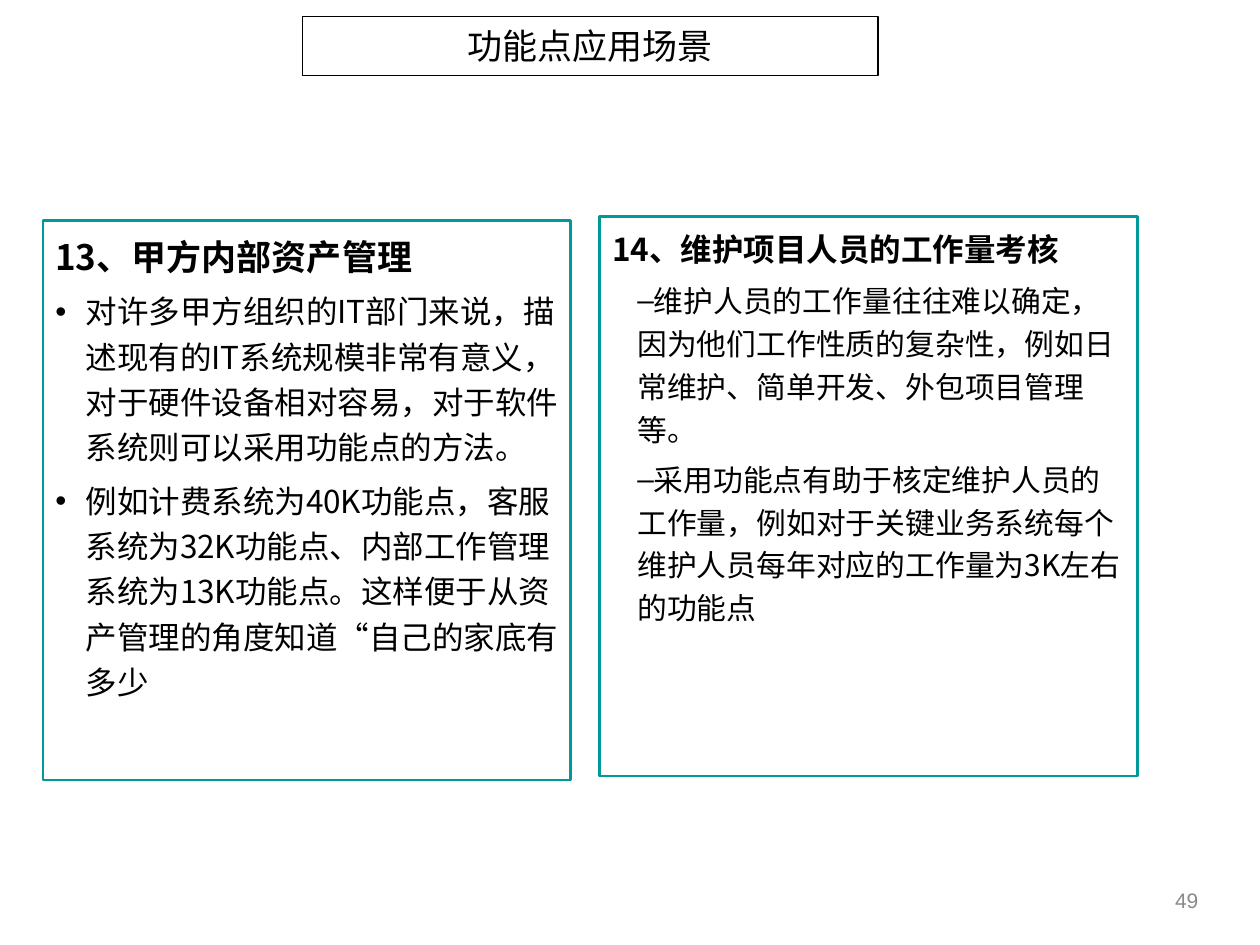
from dataclasses import dataclass

from lxml.etree import SubElement as Sub
from pptx import Presentation
from pptx.dml.color import RGBColor as Rgb
from pptx.enum.shapes import MSO_SHAPE as Kind
from pptx.enum.text import MSO_ANCHOR as Anchor, PP_ALIGN as Align
from pptx.oxml.ns import qn
from pptx.util import Inches, Pt

COLORS = {"ink": "000000", "paper": "FFFFFF", "teal": "009999", "gray": "898989"}
SANS = "Noto Sans CJK SC"


def tint(name: str) -> Rgb:
    return Rgb.from_string(COLORS[name])


@dataclass
class Card:
    left: float
    top: float
    width: float
    head: str
    size: int
    items: list[str]
    mark: str
    body: int
    gap: float
    margin: float
    indent: float


CARDS = [
    Card(4.76, 1.72, 4.27, "14、维护项目人员的工作量考核", 18, [
        "维护人员的工作量往往难以确定，因为他们工作性质的复杂性，例如日常维护、简单开发、外包项目管理等。",
        "采用功能点有助于核定维护人员的工作量，例如对于关键业务系统每个维护人员每年对应的工作量为3K左右的功能点",
    ], "–", 17, 4.2, 0.2, 0),
    Card(0.34, 1.75, 4.19, "13、甲方内部资产管理", 20, [
        "对许多甲方组织的IT部门来说，描述现有的IT系统规模非常有意义，对于硬件设备相对容易，对于软件系统则可以采用功能点的方法。",
        "例如计费系统为40K功能点，客服系统为32K功能点、内部工作管理系统为13K功能点。这样便于从资产管理的角度知道“自己的家底有多少",
    ], "•", 18, 4.5, 0.24, -0.24),
]


def style(para, size: float, bold: bool = False, color: str = "ink", face: str = SANS) -> None:
    for run in para.runs:
        font = run.font
        font.size, font.bold, font.name = Pt(size), bold, face
        font.color.rgb = tint(color)
        Sub(font._element, qn("a:ea"), typeface=face)


def bullet(para, card: Card) -> None:
    props = para._p.get_or_add_pPr()
    props.set("marL", str(Inches(card.margin)))
    props.set("indent", str(Inches(card.indent)))
    props.set("hangingPunct", "0")
    hue = Sub(props, qn("a:buClr"))
    Sub(hue, qn("a:srgbClr"), val=COLORS["ink"])
    Sub(props, qn("a:buFont"), typeface="Arial")
    Sub(props, qn("a:buChar"), char=card.mark)


def add_box(slide, left: float, top: float, width: float, height: float, edge: str, weight: float):
    box = slide.shapes.add_shape(Kind.RECTANGLE, Inches(left), Inches(top), Inches(width), Inches(height))
    box.shadow.inherit = False
    box.fill.solid()
    box.fill.fore_color.rgb = tint("paper")
    box.line.color.rgb = tint(edge)
    box.line.width = Pt(weight)
    box.text_frame.word_wrap = True
    return box.text_frame


def add_card(slide, card: Card) -> None:
    frame = add_box(slide, card.left, card.top, card.width, 4.44, "teal", 1.5)
    frame.vertical_anchor = Anchor.TOP
    frame.text = "\n".join([card.head, *card.items])
    head, *rest = frame.paragraphs
    style(head, card.size, True)
    for para in rest:
        bullet(para, card)
        para.space_before = Pt(card.gap)
        style(para, card.body)
    for para in frame.paragraphs:
        para.alignment = Align.LEFT
        para.line_spacing = 1.2


def add_title(slide, text: str) -> None:
    frame = add_box(slide, 2.4, 0.13, 4.57, 0.47, "ink", 0.75)
    frame.vertical_anchor = Anchor.MIDDLE
    frame.text = text
    para = frame.paragraphs[0]
    para.alignment = Align.CENTER
    style(para, 20)


def add_number(slide, text: str) -> None:
    frame = slide.shapes.add_textbox(Inches(7.28), Inches(6.88), Inches(2.33), Inches(0.52)).text_frame
    frame.word_wrap = True
    frame.vertical_anchor = Anchor.MIDDLE
    frame.text = text
    para = frame.paragraphs[0]
    para.alignment = Align.RIGHT
    style(para, 12, color="gray", face="Arial")


def main() -> None:
    deck = Presentation()
    deck.slide_width, deck.slide_height = Inches(10), Inches(7.5)
    slide = deck.slides.add_slide(deck.slide_layouts[6])
    add_title(slide, "功能点应用场景")
    for card in CARDS:
        add_card(slide, card)
    add_number(slide, "49")
    deck.save("out.pptx")


if __name__ == "__main__":
    main()
